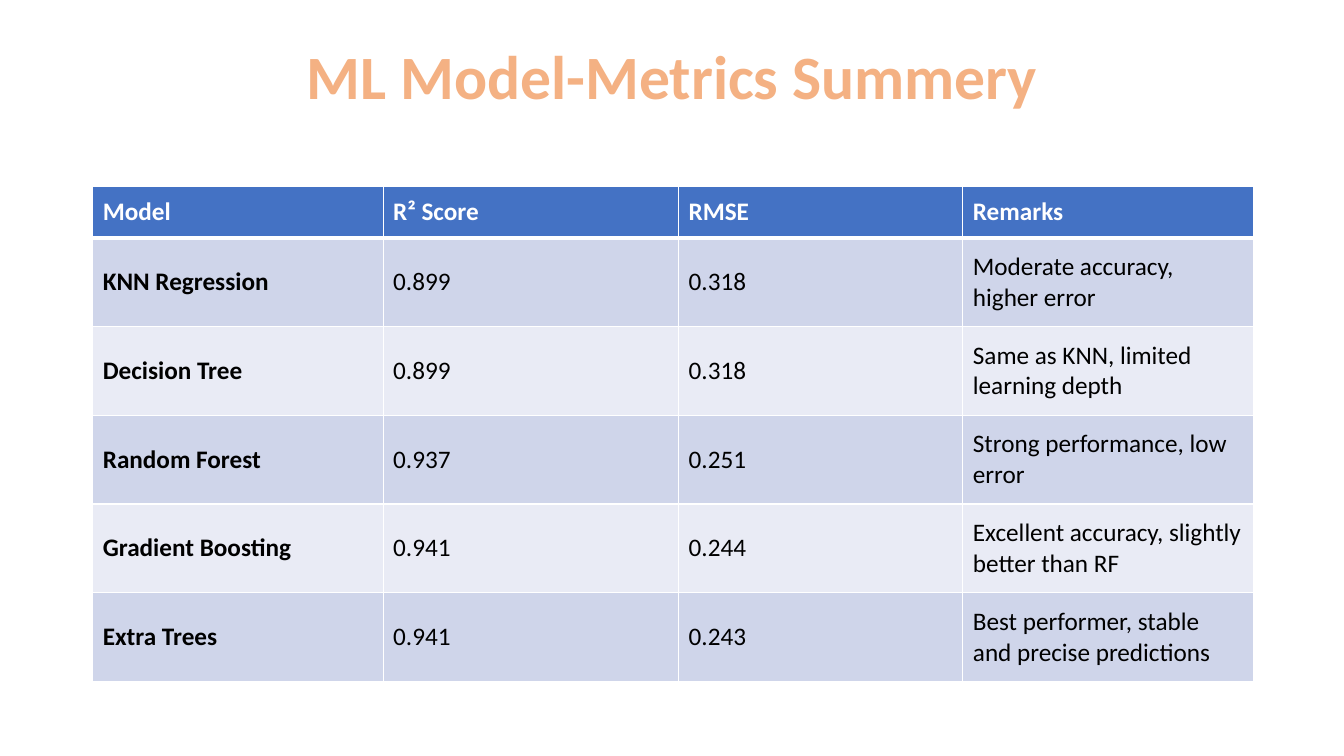
from lxml import etree
from pptx import Presentation
from pptx.dml.color import RGBColor
from pptx.enum import text
from pptx.oxml import ns
from pptx.util import Inches, Pt

COLORS = {
    "title": "F4B183",
    "header": "4472C4",
    "odd_row": "CFD5EA",
    "even_row": "E9EBF5",
    "white": "FFFFFF",
    "black": "000000",
}
COLUMN_WIDTHS = [2.88, 2.93, 2.82, 2.88]
HEADER_HEIGHT, ROW_HEIGHT = 0.51, 0.88
METRICS = [
    ["Model", "R² Score", "RMSE", "Remarks"],
    ["KNN Regression", "0.899", "0.318", "Moderate accuracy, higher error"],
    ["Decision Tree", "0.899", "0.318", "Same as KNN, limited learning depth"],
    ["Random Forest", "0.937", "0.251", "Strong performance, low error"],
    ["Gradient Boosting", "0.941", "0.244", "Excellent accuracy, slightly better than RF"],
    ["Extra Trees", "0.941", "0.243", "Best performer, stable and precise predictions"],
]


def set_attributes(target, values):
    for name, value in values.items():
        setattr(target, name, value)


def write_text(frame, words, color, **font_values):
    para = frame.paragraphs[0]
    span = para.add_run()
    span.text = words
    set_attributes(span.font, {"name": "Calibri", **font_values})
    span.font.color.rgb = RGBColor.from_string(COLORS[color])
    return para


def add_title(page, words):
    box = page.shapes.title
    set_attributes(box, {"left": Inches(0.92), "top": Inches(0.4),
                         "width": Inches(11.5), "height": Inches(1.45)})
    frame = box.text_frame
    set_attributes(frame, {"word_wrap": True, "margin_bottom": Inches(0.72),
                           "auto_size": text.MSO_AUTO_SIZE.NONE,
                           "vertical_anchor": text.MSO_ANCHOR.MIDDLE})
    para = write_text(frame, words, "title", size=Pt(44), bold=True)
    set_attributes(para, {"alignment": text.PP_ALIGN.CENTER, "line_spacing": 0.9})


def set_borders(cell, widths):
    properties = cell._tc.get_or_add_tcPr()
    for side, width in widths.items():
        line = etree.SubElement(properties, ns.qn(f"a:ln{side}"), w=str(Pt(width)))
        fill = etree.SubElement(line, ns.qn("a:solidFill"))
        etree.SubElement(fill, ns.qn("a:srgbClr"), val=COLORS["white"])


def format_cell(cell, words, row, column):
    is_header = row == 0
    set_borders(cell, {"L": 1, "R": 1, "T": 3 if row == 1 else 1,
                       "B": 3 if is_header else 1})
    band = "header" if is_header else "odd_row" if row % 2 else "even_row"
    cell.fill.solid()
    cell.fill.fore_color.rgb = RGBColor.from_string(COLORS[band])
    cell.vertical_anchor = text.MSO_ANCHOR.MIDDLE
    write_text(cell.text_frame, words, "white" if is_header else "black",
               size=Pt(18), bold=is_header or column == 0)


def add_metrics_table(page):
    height = HEADER_HEIGHT + ROW_HEIGHT * (len(METRICS) - 1)
    table = page.shapes.add_table(
        len(METRICS), len(COLUMN_WIDTHS), Inches(0.92), Inches(1.85),
        Inches(sum(COLUMN_WIDTHS)), Inches(height)).table
    for column, width in zip(table.columns, COLUMN_WIDTHS):
        column.width = Inches(width)
    for row, values in enumerate(METRICS):
        table.rows[row].height = Inches(ROW_HEIGHT if row else HEADER_HEIGHT)
        for column, words in enumerate(values):
            format_cell(table.cell(row, column), words, row, column)


def main():
    deck = Presentation()
    set_attributes(deck, {"slide_width": Inches(13.33), "slide_height": Inches(7.5)})
    page = deck.slides.add_slide(deck.slide_layouts[5])
    add_title(page, "ML Model-Metrics Summery")
    add_metrics_table(page)
    deck.save("out.pptx")


if __name__ == "__main__":
    main()
